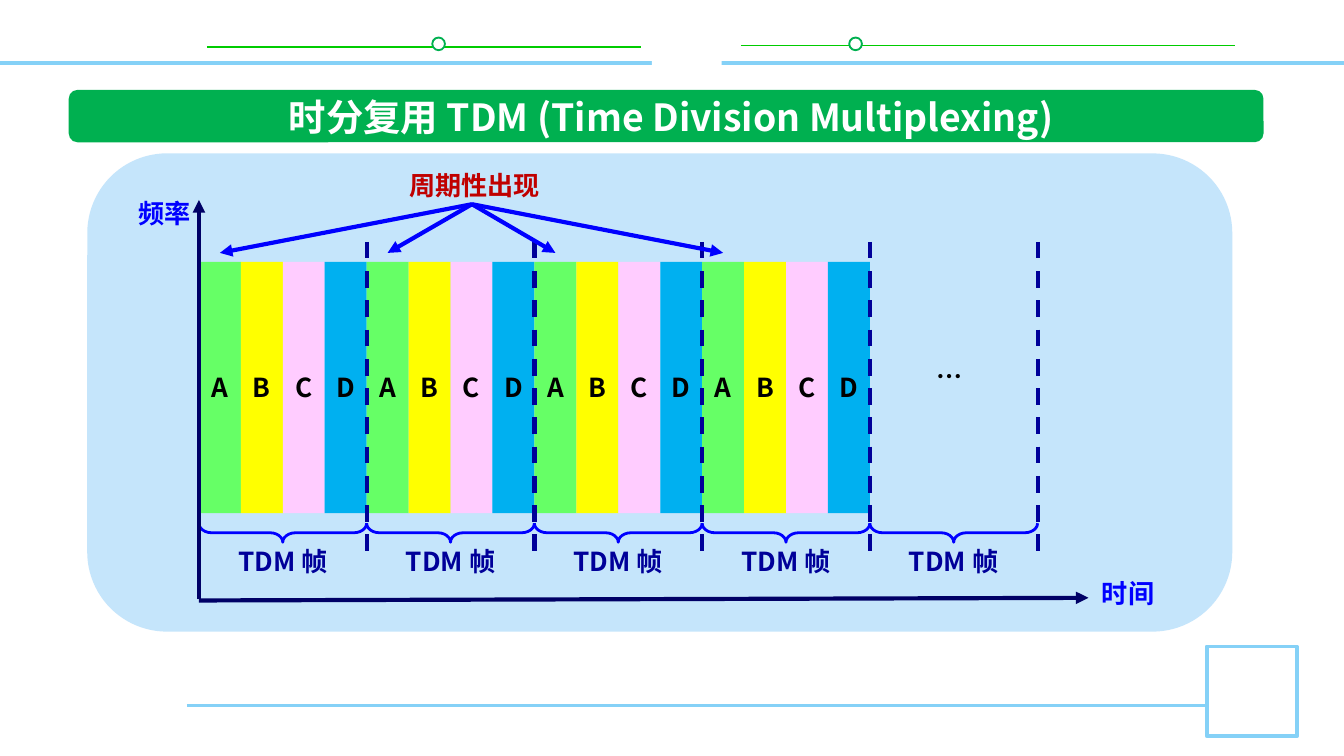
from lxml import etree
from pptx import Presentation
from pptx import util as u
from pptx.dml import color
from pptx.enum import dml, shapes, text
from pptx.oxml import ns

FONT = "Noto Sans CJK SC"
COLORS = {
    "white": "FFFFFF", "black": "000000", "lime": "00CC00", "green": "00B050",
    "sky": "85D1F7", "panel": "C5E5FB", "axis": "000066", "navy": "000099",
    "blue": "0000FF", "red": "C00000",
    "A": "66FF66", "B": "FFFF00", "C": "FFCCFF", "D": "00B0F0",
}
RGB = {name: color.RGBColor.from_string(value) for name, value in COLORS.items()}

# Frame grid, in centimetres
LEFT, FRAME = 3.76, 3.17
SLOT = FRAME / 4
FRAMES = 5

deck = Presentation()
deck.slide_width, deck.slide_height = u.Cm(25.4), u.Cm(14.29)
page = deck.slides.add_slide(deck.slide_layouts[5])


def write(box, words, size=14, ink="black", spacing=1.0, inset=0.0):
    frame = box.text_frame
    frame.auto_size = text.MSO_AUTO_SIZE.NONE
    frame.word_wrap = False
    frame.vertical_anchor = text.MSO_ANCHOR.MIDDLE
    frame.margin_left = frame.margin_right = u.Cm(inset)
    frame.margin_top = frame.margin_bottom = u.Cm(inset)
    para = frame.paragraphs[0]
    para.alignment = text.PP_ALIGN.CENTER
    para.line_spacing = spacing
    span = para.add_run()
    span.text = words
    span.font.name, span.font.size, span.font.bold = FONT, u.Pt(size), True
    span.font.color.rgb = RGB[ink]
    east_asian = etree.SubElement(span.font._element, ns.qn("a:ea"))
    east_asian.set("typeface", FONT)


def draw_line(x1, y1, x2, y2, ink, width=2.25, arrow=False, dashed=False):
    line = page.shapes.add_connector(
        shapes.MSO_CONNECTOR.STRAIGHT, u.Cm(x1), u.Cm(y1), u.Cm(x2), u.Cm(y2))
    line.line.color.rgb = RGB[ink]
    line.line.width = u.Pt(width)
    if dashed:
        line.line.dash_style = dml.MSO_LINE.DASH
    properties = line._element.spPr
    if arrow:
        outline = properties.find(ns.qn("a:ln"))
        etree.SubElement(outline, ns.qn("a:tailEnd")).set("type", "triangle")
    etree.SubElement(properties, ns.qn("a:effectLst"))


# Decorative rules
draw_line(3.91, 0.89, 12.12, 0.89, "lime", width=1)
draw_line(14, 0.86, 23.34, 0.86, "lime", width=1)
draw_line(3.53, 13.34, 22.81, 13.34, "sky", width=1.5)
draw_line(0, 1.19, 25.4, 1.19, "sky", width=2)

# Shapes: kind, left, top, width, height, fill, line, line width, label
KIND = shapes.MSO_SHAPE
pieces = [
    (KIND.OVAL, 8.17, 0.71, 0.24, 0.24, "white", "green", 1, None),
    (KIND.OVAL, 16.05, 0.71, 0.24, 0.24, "white", "green", 1, None),
    (KIND.RECTANGLE, 22.81, 12.22, 1.7, 1.7, "white", "sky", 2, None),
    (KIND.RECTANGLE, 12.32, 0.36, 1.32, 1.3, "white", None, 0, None),
    (KIND.ROUNDED_RECTANGLE, 1.3, 1.7, 22.58, 0.99, "green", None, 0, None),
    (KIND.ROUNDED_RECTANGLE, 1.65, 2.9, 21.64, 9.04, "panel", None, 0, None),
]
for number in range(FRAMES):
    start = LEFT + number * FRAME
    if number < FRAMES - 1:
        for position, user in enumerate("ABCD"):
            pieces.append((KIND.RECTANGLE, start + position * SLOT, 4.95, SLOT, 4.75,
                           user, None, 0, user))
    # The brace is drawn upright around its centre and then turned
    pieces.append((KIND.LEFT_BRACE, start + FRAME / 2 - 0.18, 10.07 - FRAME / 2,
                   0.36, FRAME, None, "blue", 1.5, None))

for kind, left, top, width, height, fill, ink, weight, label in pieces:
    shape = page.shapes.add_shape(kind, u.Cm(left), u.Cm(top), u.Cm(width), u.Cm(height))
    shape.shadow.inherit = False
    if fill:
        shape.fill.solid()
        shape.fill.fore_color.rgb = RGB[fill]
    else:
        shape.fill.background()
    if ink:
        shape.line.color.rgb = RGB[ink]
        shape.line.width = u.Pt(weight)
    else:
        shape.line.fill.background()
    if kind == KIND.LEFT_BRACE:
        shape.rotation = 270
        shape.adjustments[0] = 0.67
    if label:
        write(shape, label)

# Title, brought in front of its bar
title = page.shapes.title
title.left, title.top, title.width, title.height = u.Cm(3.48), u.Cm(1.7), u.Cm(18.42), u.Cm(0.99)
write(title, "时分复用 TDM (Time Division Multiplexing)", size=20, ink="white")
title.element.getparent().append(title.element)

# Labels: words, left, top, width, height, colour, line spacing
labels = [
    ("频率", 2.36, 3.68, 1.5, 0.79, "blue", 0.9),
    ("时间", 20.57, 10.85, 1.5, 0.79, "blue", 0.9),
    ("周期性出现", 7.47, 3.15, 3, 0.79, "red", 0.9),
    ("…", 17.45, 6.68, 0.99, 0.84, "black", 1.0),
]
labels += [("TDM 帧", LEFT + number * FRAME + 0.39, 10.24, 2.39, 0.79, "navy", 0.9)
           for number in range(FRAMES)]
for words, left, top, width, height, ink, spacing in labels:
    box = page.shapes.add_textbox(u.Cm(left), u.Cm(top), u.Cm(width), u.Cm(height))
    write(box, words, ink=ink, spacing=spacing, inset=0.13)

# Axes
draw_line(LEFT, 11.35, 20.57, 11.3, "axis", arrow=True)
draw_line(LEFT, 11.33, LEFT, 3.78, "axis", arrow=True)

# Frame borders
for number in range(1, FRAMES + 1):
    border = LEFT + number * FRAME
    draw_line(border, 4.57, border, 10.62, "navy", dashed=True)

# Arrows to each slot of user A
for number in range(FRAMES - 1):
    draw_line(8.92, 3.86, LEFT + number * FRAME + SLOT / 2, 4.78, "blue", arrow=True)

deck.save("out.pptx")
